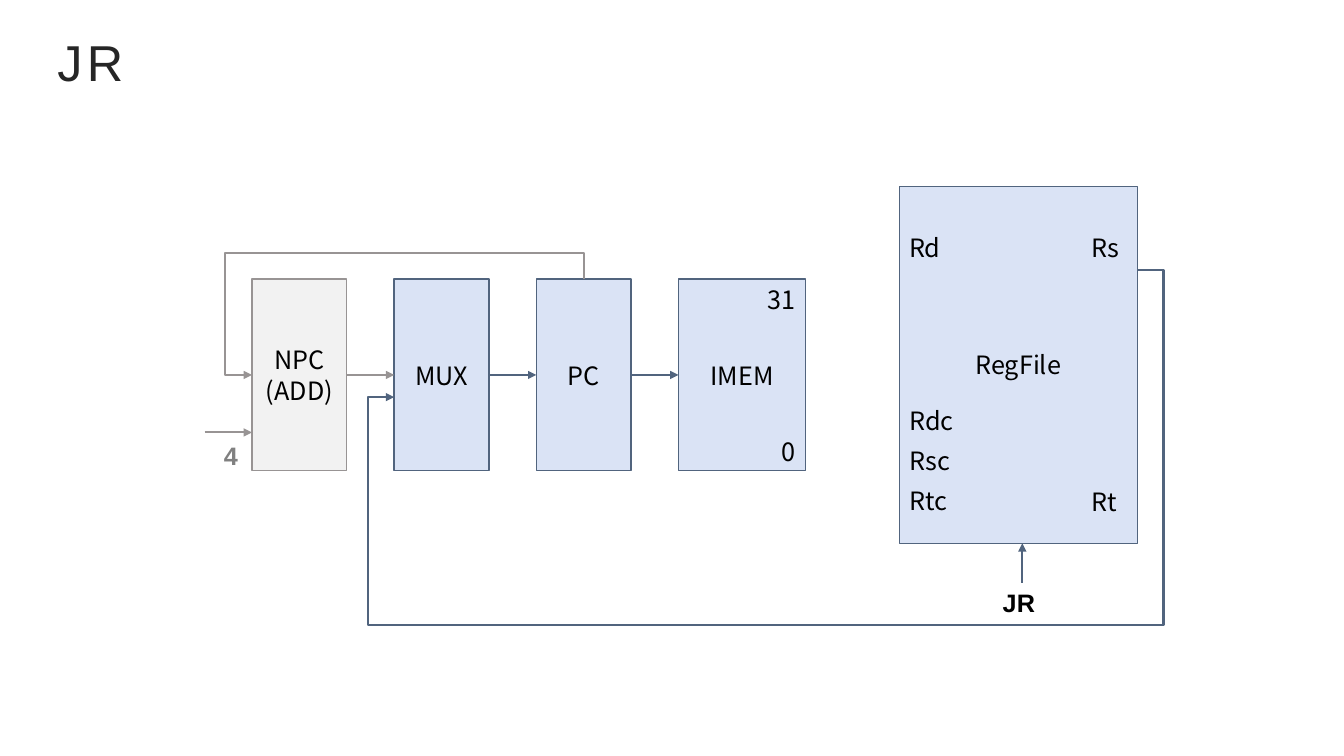
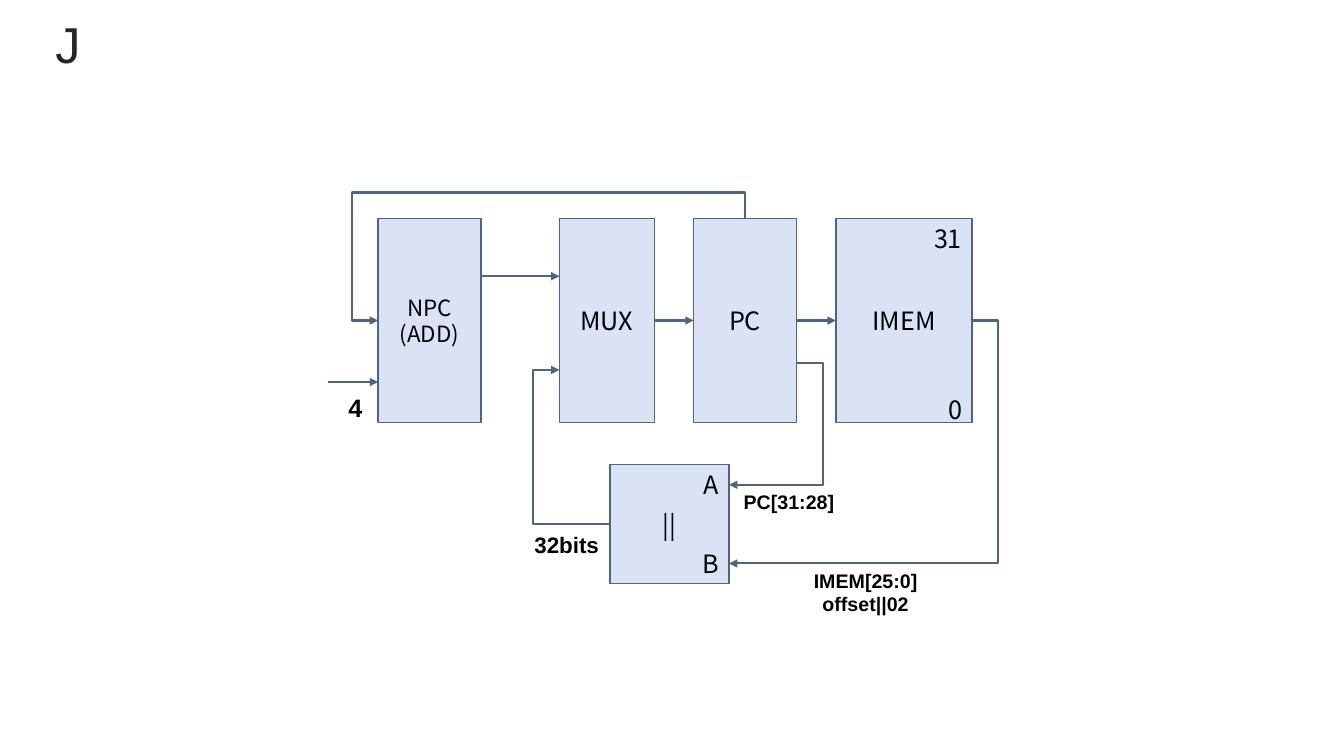
from lxml.etree import SubElement
from pptx import Presentation
from pptx.dml.color import RGBColor
from pptx.enum.shapes import MSO_CONNECTOR, MSO_SHAPE
from pptx.enum.text import MSO_ANCHOR, MSO_AUTO_SIZE, PP_ALIGN
from pptx.oxml.ns import qn
from pptx.util import Emu, Pt

# Shared look; one px is a hundredth of an inch
SCALE = 9144
BOX_FONT = "Noto Sans CJK JP"
LABEL_FONT = "Arial"
BLACK, TITLE_COLOR = "000000", "262626"
BLUE_FILL, BLUE_LINE = "DAE3F5", "51647E"
GRAY_FILL, GRAY_LINE, GRAY_TEXT = "F2F2F2", "989494", "808080"
TITLE_LAYOUT = 5
TOP, LEFT, RIGHT = 0, 1, 3


def px(length):
    return Emu(length * SCALE)


def color(hex_string):
    return RGBColor.from_string(hex_string)


def write(frame, text, *, font=BOX_FONT, size=18, ink=BLACK, bold=False,
          align=PP_ALIGN.CENTER, anchor=MSO_ANCHOR.TOP, margin=10, spacing=None):
    """Fill a text frame, one paragraph for each line of the text."""
    frame.word_wrap = True
    frame.auto_size = MSO_AUTO_SIZE.NONE
    frame.vertical_anchor = anchor
    frame.margin_left = frame.margin_right = px(margin)
    frame.margin_top = frame.margin_bottom = px(5)
    for index, line in enumerate(text.split("\n")):
        para = frame.add_paragraph() if index else frame.paragraphs[0]
        para.alignment = align
        if font == BOX_FONT:
            para.line_spacing = Pt(size * 1.2)
        span = para.add_run()
        span.text = line
        span.font.name = font
        span.font.size = Pt(size)
        span.font.bold = bold
        span.font.color.rgb = color(ink)
        if spacing:
            span.font._element.set("spc", str(spacing * 100))


def add_page(deck, title, left, top):
    page = deck.slides.add_slide(deck.slide_layouts[TITLE_LAYOUT])
    holder = page.shapes.title
    holder.left, holder.top = px(left), px(top)
    holder.width, holder.height = px(1200), px(77)
    write(holder.text_frame, title, font=LABEL_FONT, size=36, ink=TITLE_COLOR,
          align=PP_ALIGN.LEFT, anchor=MSO_ANCHOR.MIDDLE, spacing=3)
    return page


def add_block(page, text, left, top, width, height, *,
              fill=BLUE_FILL, line=BLUE_LINE, size=18):
    block = page.shapes.add_shape(MSO_SHAPE.RECTANGLE, px(left), px(top),
                                  px(width), px(height))
    block.shadow.inherit = False
    block.fill.solid()
    block.fill.fore_color.rgb = color(fill)
    block.line.color.rgb = color(line)
    block.line.width = Pt(1)
    write(block.text_frame, text, size=size, anchor=MSO_ANCHOR.MIDDLE)
    return block


def add_text(page, text, left, top, width, height=40, **style):
    box = page.shapes.add_textbox(px(left), px(top), px(width), px(height))
    write(box.text_frame, text, **style)


def add_label(page, text, left, top, width, height=40, **style):
    """A bold caption next to a wire."""
    add_text(page, text, left, top, width, height, font=LABEL_FONT,
             bold=True, margin=0, **style)


def add_port(page, text, left, top, width, align=PP_ALIGN.LEFT):
    """The name of a port, inside its block."""
    add_text(page, text, left, top, width, align=align)


def add_memory(page, left, top, width, height, zero_top):
    memory = add_block(page, "IMEM", left, top, width, height)
    for bit, bit_top in (("31", top), ("0", zero_top)):
        add_port(page, bit, left + width - 60, bit_top, 60, PP_ALIGN.RIGHT)
    return memory


def style_wire(wire, line):
    wire.line.color.rgb = color(line)
    wire.line.width = Pt(1.5)
    outline = wire.line._get_or_add_ln()
    SubElement(outline, qn("a:tailEnd"), type="triangle")


def add_arrow(page, start, end, line=BLUE_LINE):
    """A straight arrow between two points."""
    arrow = page.shapes.add_connector(MSO_CONNECTOR.STRAIGHT,
                                      *map(px, start + end))
    style_wire(arrow, line)
    SubElement(arrow._element.spPr, qn("a:effectLst"))
    return arrow


def join(page, source, target, line=BLUE_LINE):
    """An arrow glued to the facing sides of two neighbours."""
    arrow = add_arrow(page, (0, 0), (0, 0), line)
    arrow.begin_connect(source, RIGHT)
    arrow.end_connect(target, LEFT)


def add_route(page, points, line=BLUE_LINE):
    """An arrow that turns corners on its way around blocks."""
    builder = page.shapes.build_freeform(*points[0], scale=SCALE)
    builder.add_line_segments(points[1:], close=False)
    route = builder.convert_to_shape()
    route.shadow.inherit = False
    route.fill.background()
    style_wire(route, line)


def build_jr(deck):
    page = add_page(deck, "JR", 47, 22)

    # Row of blocks at an equal pitch
    top, width, height = 277, 94, 190
    middle = top + height // 2
    npc_left, mux_left, pc_left, memory_left = (250 + 141 * i for i in range(4))
    npc = add_block(page, "NPC\n(ADD)", npc_left, top, width, height,
                    fill=GRAY_FILL, line=GRAY_LINE)
    mux = add_block(page, "MUX", mux_left, top, width, height)
    pc = add_block(page, "PC", pc_left, top, width, height)
    memory = add_memory(page, memory_left, top, 126, height, 428)

    # Register file and its ports
    add_block(page, "RegFile", 892, 185, 236, 354)
    add_port(page, "Rd", 892, 226, 56)
    for row, name in enumerate(("Rdc", "Rsc", "Rtc")):
        add_port(page, name, 892, 397 + 40 * row, 75)
    for name, port_top in (("Rs", 226), ("Rt", 478)):
        add_port(page, name, 1073, port_top, 56)

    # Wires
    join(page, npc, mux, GRAY_LINE)
    join(page, mux, pc)
    join(page, pc, memory)
    pc_middle = pc_left + width // 2
    add_route(page, [(pc_middle, top), (pc_middle, 251), (223, 251),
                     (223, middle), (npc_left, middle)], GRAY_LINE)
    add_route(page, [(1128, 268), (1154, 268), (1154, 620), (365, 620),
                     (365, 394), (mux_left, 394)])
    add_arrow(page, (203, 429), (npc_left, 429), GRAY_LINE)
    add_arrow(page, (1014, 578), (1014, 539))
    add_label(page, "4", 208, 432, 42, ink=GRAY_TEXT)
    add_label(page, "JR", 935, 578, 151)


def build_j(deck):
    page = add_page(deck, "J", 45, 4)

    # Blocks
    top, height = 217, 202
    middle = top + height // 2
    add_block(page, "NPC\n(ADD)", 375, top, 102, height, size=16)
    mux = add_block(page, "MUX", 555, top, 94, height)
    pc = add_block(page, "PC", 688, top, 102, height)
    memory = add_memory(page, 829, top, 135, height, 386)
    add_block(page, "||", 605, 461, 118, 118)
    for name, port_top in (("A", 461), ("B", 539)):
        add_port(page, name, 671, port_top, 52, PP_ALIGN.RIGHT)

    # Wires
    join(page, mux, pc)
    join(page, pc, memory)
    add_arrow(page, (477, 274), (555, 274))
    add_arrow(page, (325, 379), (375, 379))
    add_route(page, [(739, top), (739, 191), (349, 191),
                     (349, middle), (375, middle)])
    add_route(page, [(790, 360), (816, 360), (816, 481), (723, 481)])
    add_route(page, [(964, middle), (990, middle), (990, 559), (723, 559)])
    add_route(page, [(605, 520), (529, 520), (529, 367), (555, 367)])

    # Wire captions
    add_label(page, "4", 330, 384, 45)
    add_label(page, "32bits", 519, 522, 86, 37, size=16)
    add_label(page, "PC[31:28]", 727, 481, 111, 34, size=14)
    add_label(page, "IMEM[25:0]\noffset||02", 764, 559, 189, 57, size=14)


def main():
    deck = Presentation()
    deck.slide_width, deck.slide_height = px(1333), px(750)
    build_jr(deck)
    build_j(deck)
    deck.save("out.pptx")


if __name__ == "__main__":
    main()
